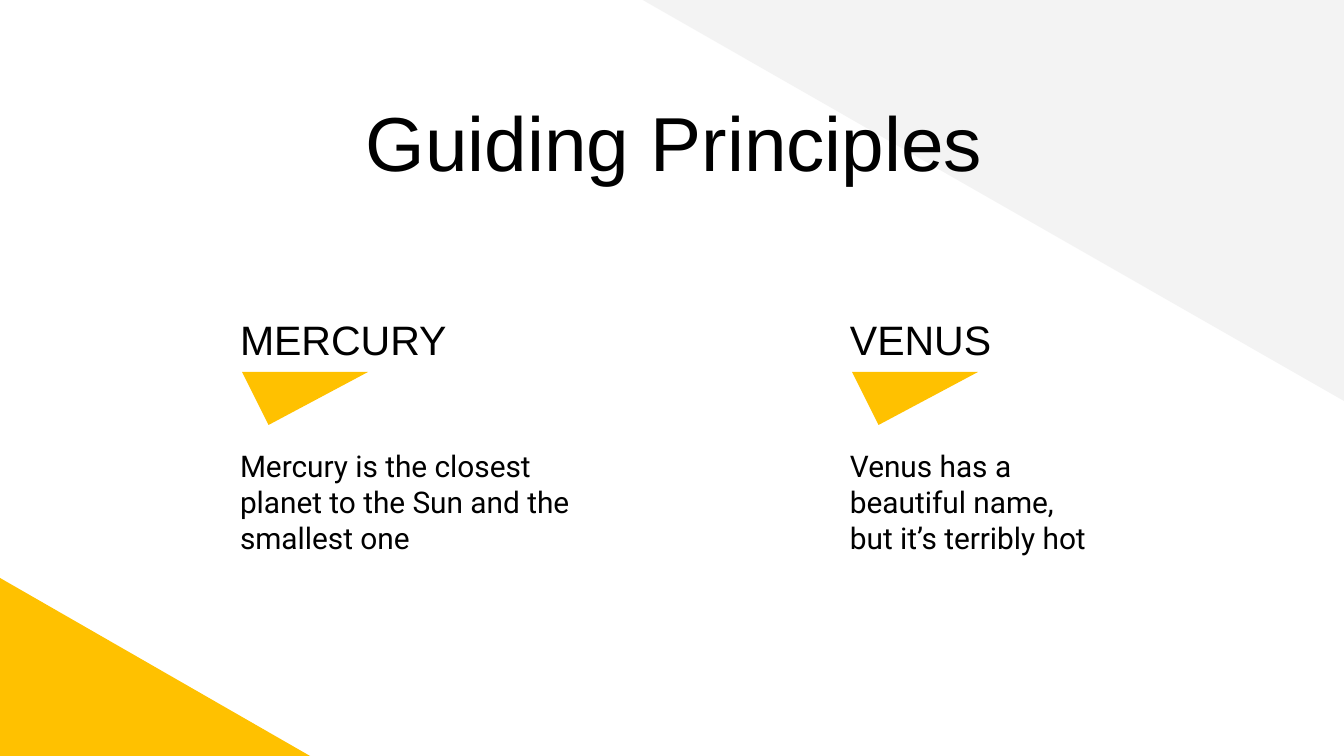
from lxml import etree
from pptx import Presentation
from pptx.dml.color import RGBColor
from pptx.enum.shapes import MSO_SHAPE as SHAPE
from pptx.enum.text import MSO_ANCHOR as ANCHOR, MSO_AUTO_SIZE as AUTO, PP_ALIGN as ALIGN
from pptx.oxml.ns import qn
from pptx.util import Emu, Pt

BLACK = RGBColor(0x00, 0x00, 0x00)
WHITE = RGBColor(0xFF, 0xFF, 0xFF)
GREY = RGBColor(0xF3, 0xF3, 0xF3)
YELLOW = RGBColor(0xFF, 0xC1, 0x00)

TITLE = "Guiding Principles"
PLANETS = [
    ("MERCURY", ["Mercury is the closest planet to the Sun and the smallest one"]),
    ("VENUS", ["Venus has a", "beautiful name,", "but it’s terribly hot"]),
]

SLIDE_W, SLIDE_H = 1344, 756
COLUMN_X, COLUMN_STEP = 227, 610
INSET = 13


def px(n):
    return Emu(round(n * 914400 / 134.4))


def add_triangle(slide, kind, box, color, rotation=0):
    s = slide.shapes.add_shape(kind, *map(px, box))
    s.rotation = rotation
    s.fill.solid()
    s.fill.fore_color.rgb = color
    s.line.fill.background()
    s.shadow.inherit = False
    return s


def fill_placeholder(sp, box, lines, font, size, align=ALIGN.LEFT,
                     spacing=1.0, after=0, top=INSET):
    """Move a placeholder and set its lines as plain, unbulleted text."""
    sp.left, sp.top, sp.width, sp.height = map(px, box)
    tf = sp.text_frame
    tf.text = "\n".join(lines)
    tf.word_wrap = True
    tf.auto_size = AUTO.NONE
    tf.vertical_anchor = ANCHOR.TOP
    tf.margin_left = tf.margin_right = tf.margin_bottom = px(INSET)
    tf.margin_top = px(top)
    for p in tf.paragraphs:
        pPr = p._p.get_or_add_pPr()
        pPr.set("marL", "0")
        pPr.set("indent", "0")
        etree.SubElement(pPr, qn("a:buNone"))
        p.alignment = align
        p.line_spacing = spacing
        p.space_before = Pt(0)
        p.space_after = Pt(after)
        for r in p.runs:
            r.font.name = font
            r.font.size = Pt(size)
            r.font.bold = False
            r.font.color.rgb = BLACK


prs = Presentation()
prs.slide_width, prs.slide_height = px(SLIDE_W), px(SLIDE_H)
slide = prs.slides.add_slide(prs.slide_layouts.get_by_name("Comparison"))
slide.background.fill.solid()
slide.background.fill.fore_color.rgb = WHITE

title, *bodies = slide.placeholders
corners = [
    add_triangle(slide, SHAPE.RIGHT_TRIANGLE, (641, -1, 703, 402), GREY, 180),
    add_triangle(slide, SHAPE.RIGHT_TRIANGLE, (0, 578, 310, 178), YELLOW),
]
for s in corners:  # behind the text
    title._element.addprevious(s._element)

fill_placeholder(title, (79, 73, 1191, 85), [TITLE], "Arial", 41, ALIGN.CENTER, top=22)

for i, (name, lines) in enumerate(PLANETS):
    x = COLUMN_X + i * COLUMN_STEP
    heading, text = bodies[2 * i:2 * i + 2]
    fill_placeholder(heading, (x, 294, 274, 73), [name], "Arial", 22, spacing=1.15, after=16)
    fill_placeholder(text, (x, 435, 359, 146), lines, "Roboto", 16,
                     after=16 if len(lines) == 1 else 0)
    marker = add_triangle(slide, SHAPE.ISOSCELES_TRIANGLE, (x + 15, 372, 126, 53), YELLOW, 180)
    marker.adjustments[0] = 0.79

prs.save("out.pptx")
